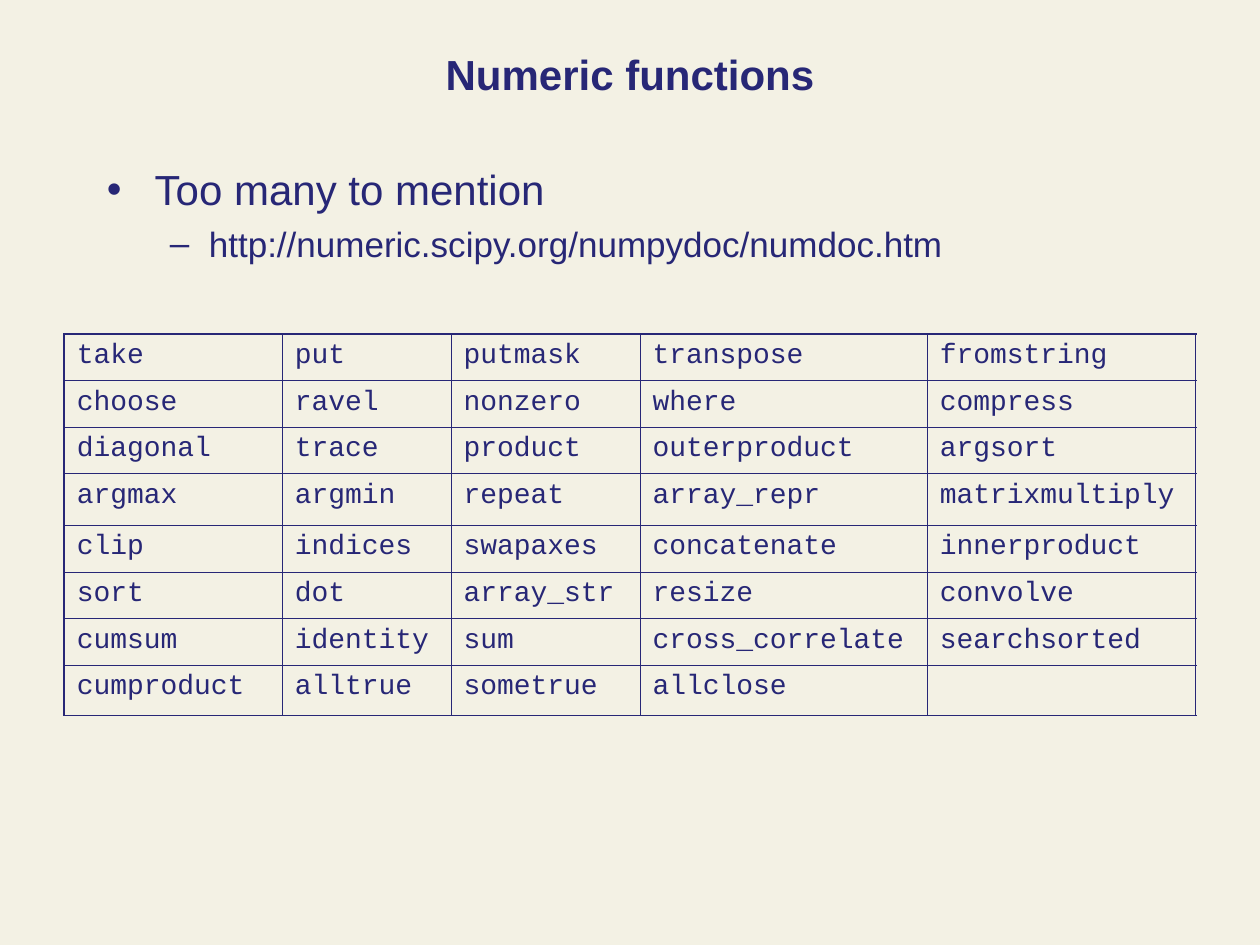
"""Build the slide listing numeric functions in a table."""
from lxml import etree
from pptx import Presentation
from pptx.dml.color import RGBColor
from pptx.enum.text import MSO_ANCHOR, PP_ALIGN
from pptx.oxml.ns import qn
from pptx.util import Inches, Pt

MIDDLE, TOP = MSO_ANCHOR.MIDDLE, MSO_ANCHOR.TOP
CENTER = PP_ALIGN.CENTER
INK, PAPER = "272776", "F3F1E4"
SANS, MONO = "Arial", "Courier New"
THIN, THICK = 0.45, 1.08

TITLE = "Numeric functions"
POINTS = [
    {"text": "Too many to mention", "size": 24, "level": 0, "mark": "•",
     "left": 0.38, "hang": 0.38, "gap": 6},
    {"text": "http://numeric.scipy.org/numpydoc/numdoc.htm", "size": 20,
     "level": 1, "mark": "–", "left": 0.81, "hang": 0.31, "gap": 5},
]
NAMES = [
    ["take", "put", "putmask", "transpose", "fromstring"],
    ["choose", "ravel", "nonzero", "where", "compress"],
    ["diagonal", "trace", "product", "outerproduct", "argsort"],
    ["argmax", "argmin", "repeat", "array_repr", "matrixmultiply"],
    ["clip", "indices", "swapaxes", "concatenate", "innerproduct"],
    ["sort", "dot", "array_str", "resize", "convolve"],
    ["cumsum", "identity", "sum", "cross_correlate", "searchsorted"],
    ["cumproduct", "alltrue", "sometrue", "allclose", ""],
]
WIDTHS = [1.73, 1.34, 1.5, 2.28, 2.13]
HEIGHTS = [0.37, 0.37, 0.37, 0.41, 0.37, 0.37, 0.37, 0.37]


def color(code):
    return RGBColor.from_string(code)


def add_run(para, text, size, face=SANS, bold=False):
    run = para.add_run()
    run.text = text
    font = run.font
    font.size, font.name, font.bold = Pt(size), face, bold
    font.color.rgb = color(INK)


def add_box(slide, left, top, width, height, anchor):
    box = slide.shapes.add_textbox(*map(Inches, (left, top, width, height)))
    frame = box.text_frame
    frame.word_wrap, frame.vertical_anchor = True, anchor
    return frame


def add_mark(para, point):
    props = para._p.get_or_add_pPr()
    props.set("marL", str(Inches(point["left"])))
    props.set("indent", str(-Inches(point["hang"])))
    tint = etree.SubElement(props, qn("a:buClr"))
    etree.SubElement(tint, qn("a:srgbClr"), val=INK)
    etree.SubElement(props, qn("a:buFont"), typeface=SANS)
    etree.SubElement(props, qn("a:buChar"), char=point["mark"])


def add_edges(cell, sides):
    props = cell._tc.get_or_add_tcPr()
    for spot, (side, outer) in enumerate(sides.items()):
        line = etree.Element(qn("a:ln" + side), w=str(Pt(THICK if outer else THIN)))
        fill = etree.SubElement(line, qn("a:solidFill"))
        etree.SubElement(fill, qn("a:srgbClr"), val=INK)
        props.insert(spot, line)


def add_names(slide):
    rows, cols = len(NAMES), len(WIDTHS)
    size = map(Inches, (0.51, 2.65, sum(WIDTHS), sum(HEIGHTS)))
    table = slide.shapes.add_table(rows, cols, *size).table
    table.first_row = table.horz_banding = False
    for col, width in zip(table.columns, WIDTHS):
        col.width = Inches(width)
    for row, height in zip(table.rows, HEIGHTS):
        row.height = Inches(height)
    for r, names in enumerate(NAMES):
        for c, name in enumerate(names):
            cell = table.cell(r, c)
            cell.fill.background()
            add_edges(cell, {"L": c == 0, "R": c == cols - 1,
                             "T": r == 0, "B": r == rows - 1})
            if name:
                para = cell.text_frame.paragraphs[0]
                para.space_before = Pt(4)
                add_run(para, name, 16, MONO)


def main():
    deck = Presentation()
    deck.slide_width, deck.slide_height = Inches(10), Inches(7.5)
    slide = deck.slides.add_slide(deck.slide_layouts[6])
    back = slide.background.fill
    back.solid()
    back.fore_color.rgb = color(PAPER)

    head = add_box(slide, 0.75, 0.25, 8.5, 0.67, MIDDLE).paragraphs[0]
    head.alignment = CENTER
    add_run(head, TITLE, 24, bold=True)

    body = add_box(slide, 0.75, 1.25, 8.5, 1, TOP)
    for i, point in enumerate(POINTS):
        para = body.add_paragraph() if i else body.paragraphs[0]
        para.level, para.space_before = point["level"], Pt(point["gap"])
        add_mark(para, point)
        add_run(para, point["text"], point["size"])

    add_names(slide)
    deck.save("out.pptx")


main()
